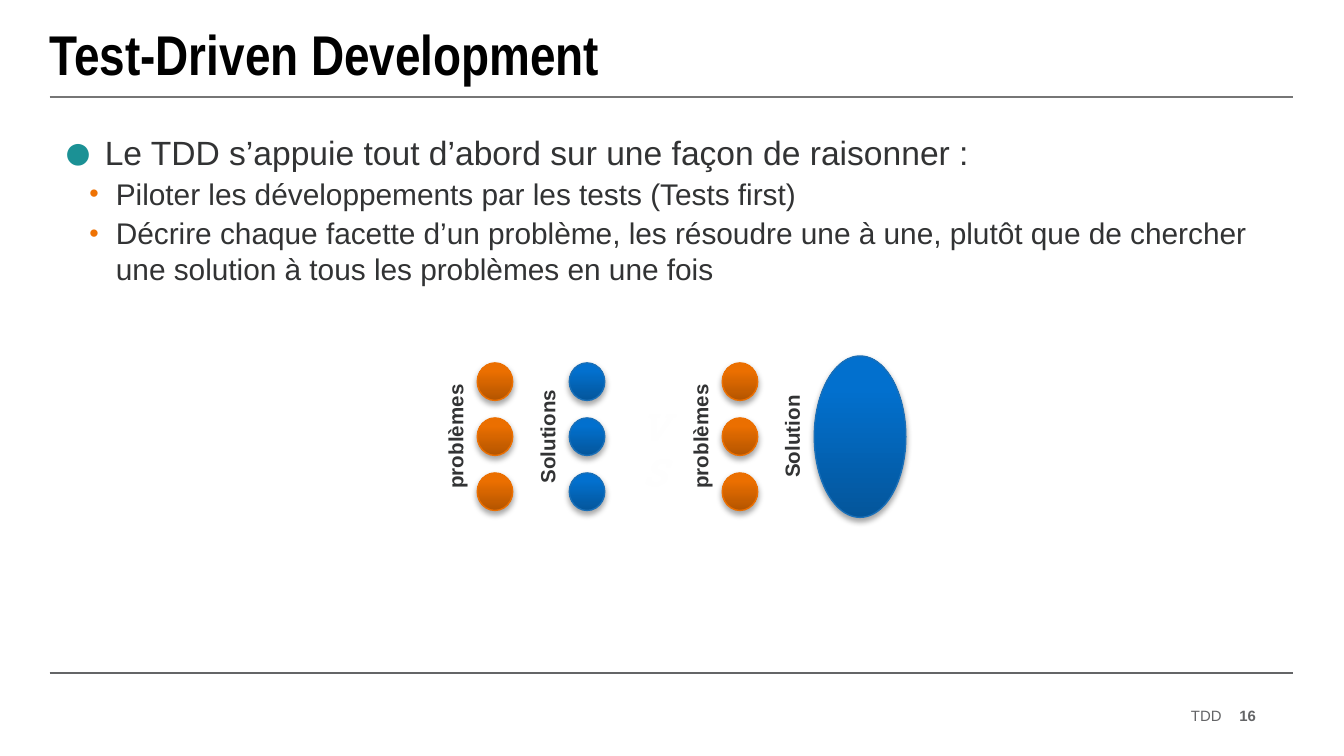
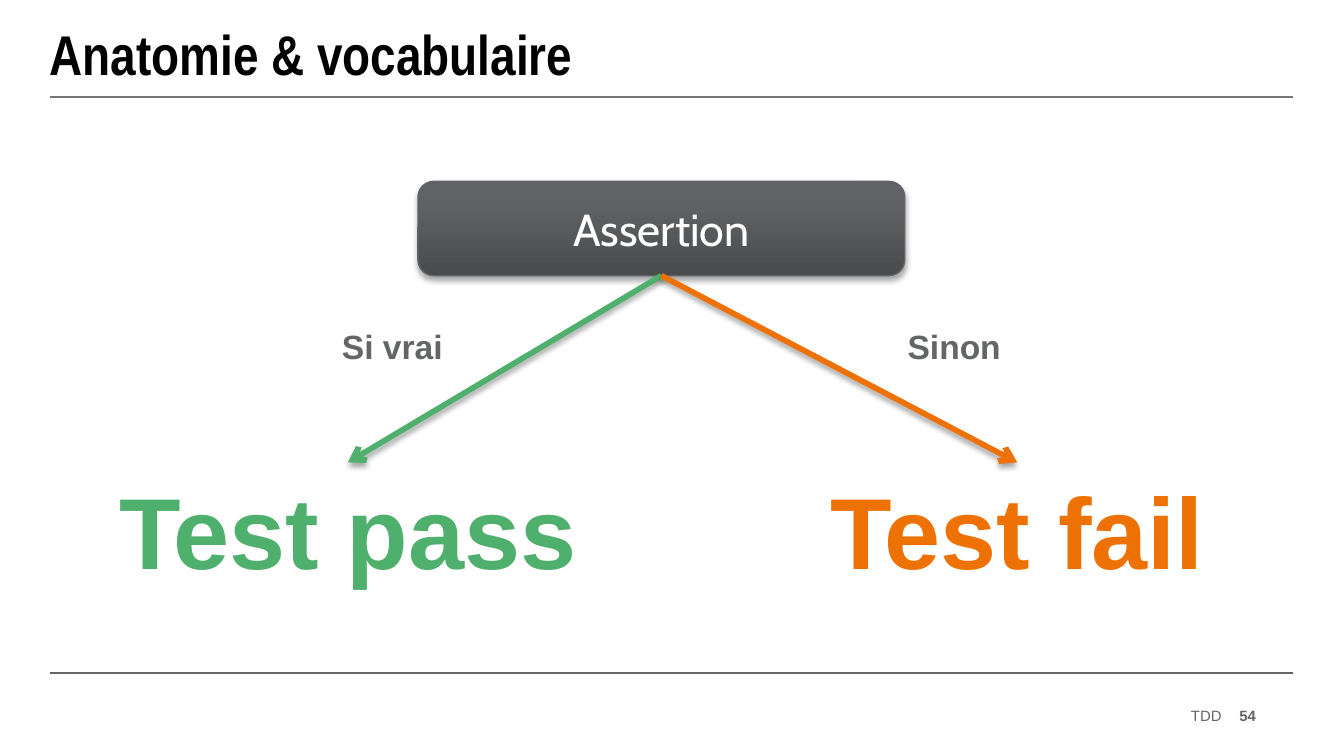
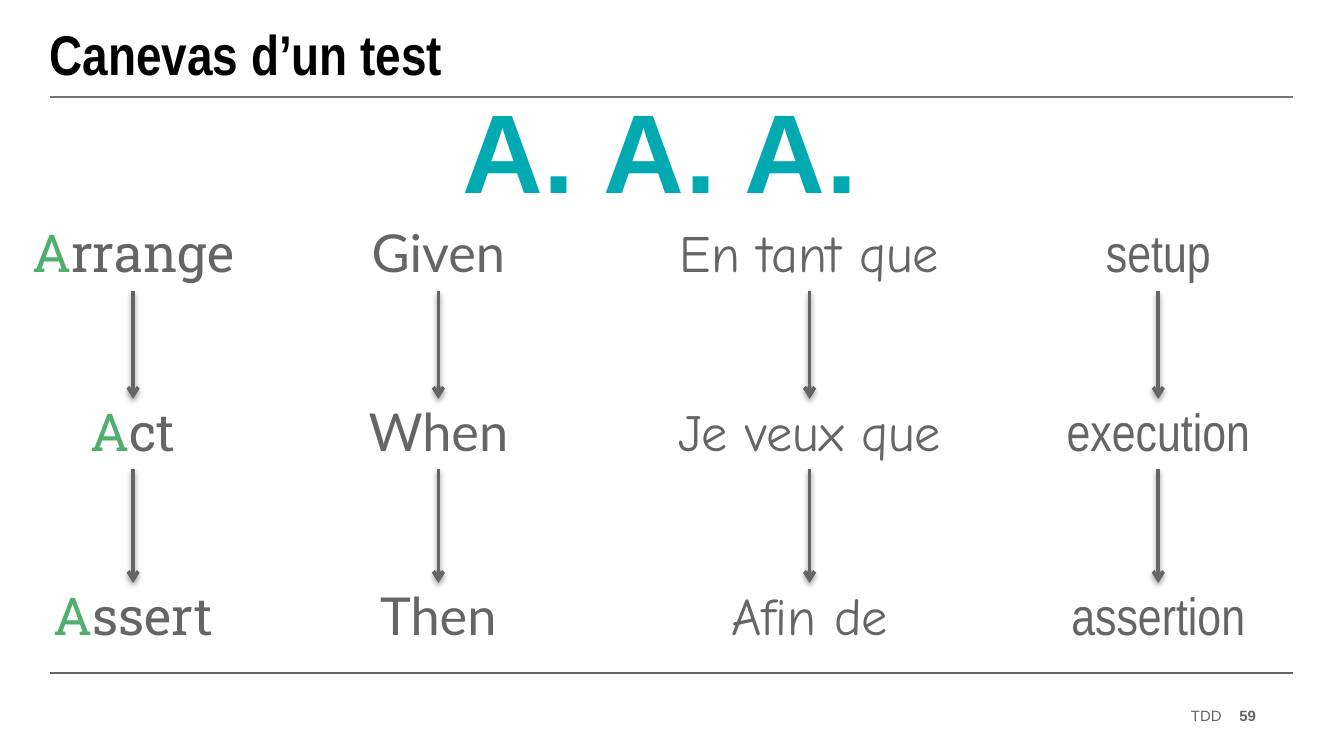
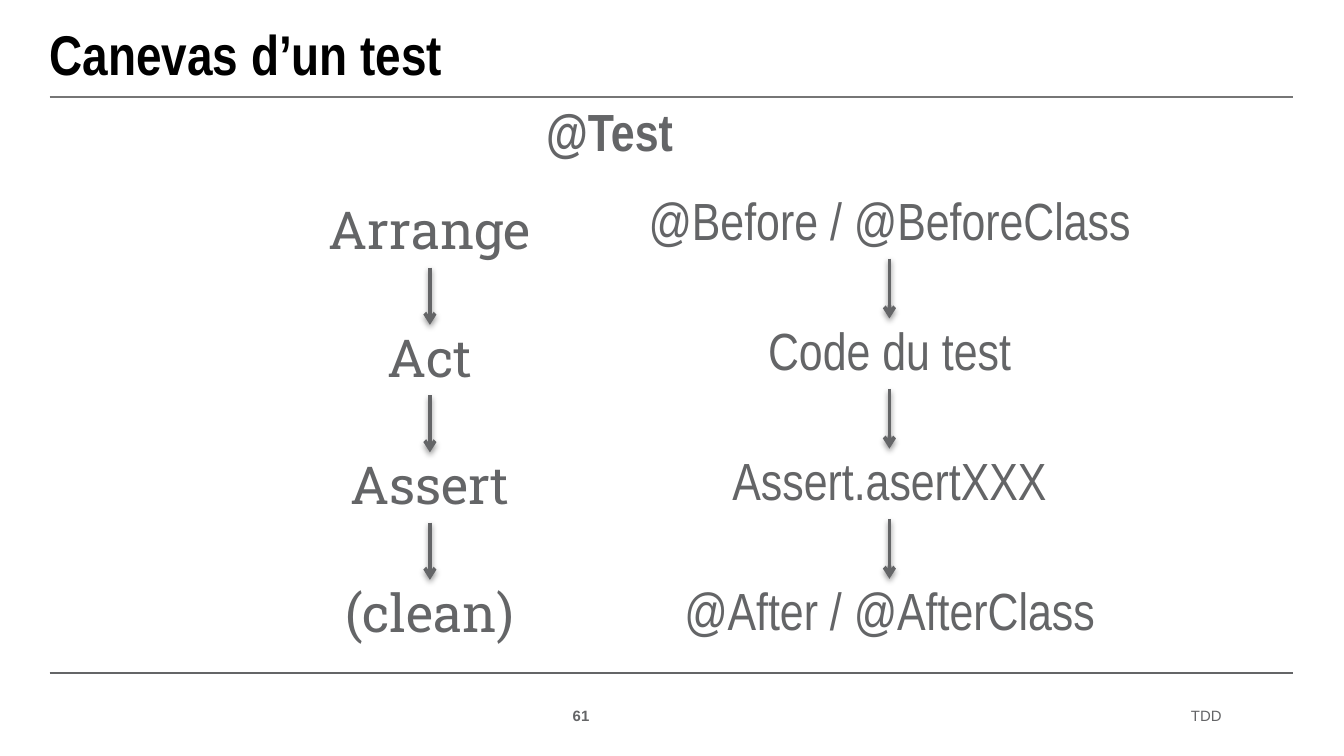
from lxml import etree
from pptx import Presentation
from pptx import util as u
from pptx.dml.color import RGBColor
from pptx.enum import shapes as kinds
from pptx.enum import text as t
from pptx.oxml.ns import qn
from pptx.util import Cm

BLACK = RGBColor(0x00, 0x00, 0x00)
WHITE = RGBColor(0xFF, 0xFF, 0xFF)
OFF_WHITE = RGBColor(0xFE, 0xFE, 0xFE)
GREY = RGBColor(0x64, 0x65, 0x67)
RULE_GREY = RGBColor(0x76, 0x76, 0x76)
BODY_GREY = RGBColor(0x32, 0x33, 0x34)
GREEN = RGBColor(0x4F, 0xAF, 0x6C)
ORANGE = RGBColor(0xEE, 0x72, 0x03)
TEAL = RGBColor(0x1B, 0x91, 0x95)
BLUE_OUTLINE = RGBColor(0x0C, 0x68, 0xB5)
CYAN = RGBColor(0x00, 0xAA, 0xB0)
DARK_CYAN = RGBColor(0x00, 0x78, 0x7C)

# Glossy fills: bottom colour, top colour, line colour
GLOSS_ORANGE = (RGBColor(0xB4, 0x55, 0x00), RGBColor(0xEB, 0x6F, 0x00), RGBColor(0xEC, 0x6F, 0x00))
GLOSS_BLUE = (RGBColor(0x04, 0x56, 0x9B), RGBColor(0x02, 0x70, 0xCE), RGBColor(0x19, 0x6F, 0xB8))
GLOSS_GREY = (RGBColor(0x4A, 0x4B, 0x4D), RGBColor(0x61, 0x62, 0x65), RGBColor(0x62, 0x63, 0x65))

SANS, NARROW, SLAB = "Arial", "Arial Narrow", "Roboto Slab"
LEFT, CENTER, RIGHT = t.PP_ALIGN.LEFT, t.PP_ALIGN.CENTER, t.PP_ALIGN.RIGHT
TITLE_ONLY, TITLE_AND_BODY = 5, 1
BOTTOM_SIDE, TOP_SIDE = 2, 0
MARGIN, CONTENT_WIDTH = 0.94, 23.5
STEP_HEIGHT = 1.33


def add_element(parent, tag, **attributes):
    return etree.SubElement(parent, qn(tag), {name: str(value) for name, value in attributes.items()})


def add_color(parent, color, alpha=None):
    node = add_element(parent, "a:srgbClr", val=color)
    if alpha is not None:
        add_element(node, "a:alpha", val=alpha * 1000)


def write(paragraph, text, size=18, font=SANS, color=GREY, bold=False, italic=False,
          spacing=None, outline=None):
    """Add a run; outline is a (colour, width in points) pair."""
    run = paragraph.add_run()
    run.text = text
    run.font.size, run.font.name = u.Pt(size), font
    run.font.bold, run.font.italic = bold, italic
    run.font.color.rgb = color
    properties = run.font._element
    if spacing:
        properties.set("spc", str(int(spacing * 100)))
    if outline:
        line = add_element(properties, "a:ln", w=u.Pt(outline[1]))
        add_color(add_element(line, "a:solidFill"), outline[0])
        properties.insert(0, line)
    return run


def set_frame(frame, anchor=t.MSO_ANCHOR.TOP, inset=0, wrap=True):
    frame.auto_size = t.MSO_AUTO_SIZE.NONE
    frame.word_wrap = wrap
    frame.vertical_anchor = anchor
    frame.margin_left = frame.margin_right = Cm(inset)
    frame.margin_top = frame.margin_bottom = Cm(inset / 2)


def add_text(shapes, box, text="", align=CENTER, anchor=t.MSO_ANCHOR.TOP, inset=0, wrap=True, **style):
    label = shapes.add_textbox(*map(Cm, box))
    set_frame(label.text_frame, anchor, inset, wrap)
    paragraph = label.text_frame.paragraphs[0]
    paragraph.alignment = align
    if text:
        write(paragraph, text, **style)
    return label


def add_shadow(shape, alpha=35, distance=1.8):
    properties = shape.element.spPr
    effects = properties.find(qn("a:effectLst"))
    if effects is None:
        effects = add_element(properties, "a:effectLst")
    shadow = add_element(effects, "a:outerShdw", blurRad=u.Pt(3.1), dist=u.Pt(distance),
                         dir=5400000, rotWithShape=0)
    add_color(shadow, BLACK, alpha)


def add_glossy(shapes, kind, box, gloss):
    bottom, top, edge = gloss
    shape = shapes.add_shape(kind, *map(Cm, box))
    shape.fill.gradient()
    shape.fill.gradient_angle = 90
    for stop, color, position in zip(shape.fill.gradient_stops, (bottom, top), (0, 0.8)):
        stop.color.rgb, stop.position = color, position
    shape.line.color.rgb, shape.line.width = edge, u.Pt(0.75)
    shape.shadow.inherit = False
    add_shadow(shape)
    return shape


def add_line(slide, start, end, color, width):
    line = slide.shapes.add_connector(kinds.MSO_CONNECTOR.STRAIGHT, *map(Cm, start + end))
    line.line.color.rgb, line.line.width = color, u.Pt(width)
    return line


def add_rule(slide, top, color):
    line = add_line(slide, (MARGIN, top), (MARGIN + CONTENT_WIDTH, top), color, 1)
    add_element(line.element.spPr, "a:effectLst")


def add_arrow(slide, source, target, color=GREY, width=2, **shadow):
    """Join the bottom of source to the top of target."""
    arrow = add_line(slide, (0, 0), (1, 1), color, width)
    arrow.begin_connect(source, BOTTOM_SIDE)
    arrow.end_connect(target, TOP_SIDE)
    add_element(arrow.element.spPr.find(qn("a:ln")), "a:tailEnd", type="arrow")
    add_shadow(arrow, **shadow)


def place(shape, box):
    shape.left, shape.top, shape.width, shape.height = map(Cm, box)


def add_slide(presentation, title, number, layout=TITLE_ONLY, number_left=23.24):
    """Add a slide with its title, two rules and footer."""
    slide = presentation.slides.add_slide(presentation.slide_layouts[layout])
    heading = slide.shapes.title
    place(heading, (MARGIN, 0.23, CONTENT_WIDTH, 1.55))
    set_frame(heading.text_frame, t.MSO_ANCHOR.MIDDLE)
    paragraph = heading.text_frame.paragraphs[0]
    paragraph.alignment = LEFT
    write(paragraph, title, size=30, font=NARROW, color=BLACK, bold=True)

    add_rule(slide, 12.72, GREY)
    add_rule(slide, 1.83, RULE_GREY)
    for text, left, width, bold in (("TDD", 17.5, 5.59, False), (number, number_left, 0.5, True)):
        add_text(slide.shapes, (left, 13.34, width, 0.38), text, align=RIGHT,
                 anchor=t.MSO_ANCHOR.MIDDLE, wrap=False, size=8, bold=bold)
    return slide


def add_bullet(paragraph, level, character, color, percent, margin, hanging):
    paragraph.level = level
    properties = paragraph._p.get_or_add_pPr()
    properties.set("marL", str(Cm(margin)))
    properties.set("indent", str(-Cm(hanging)))
    add_color(add_element(properties, "a:buClr"), color)
    add_element(properties, "a:buSzPct", val=percent * 1000)
    add_element(properties, "a:buFont", typeface=SANS)
    add_element(properties, "a:buChar", char=character)


def fill_body(body, box, items):
    """Write (level, text) items as a bulleted list."""
    place(body, box)
    frame = body.text_frame
    set_frame(frame, inset=0.25)
    for index, (level, text) in enumerate(items):
        paragraph = frame.add_paragraph() if index else frame.paragraphs[0]
        if level:
            add_bullet(paragraph, level, "•", ORANGE, 90, 1, 0.5)
        else:
            add_bullet(paragraph, level, "●", TEAL, 150, 0.79, 0.79)
        paragraph.space_before = u.Pt(2 if index else 0)
        write(paragraph, text, size=16 if level else 18, color=BODY_GREY)


def draw_comparison(slide, left, top):
    """Many small solutions on the left, one large solution on the right."""
    shapes = slide.shapes.add_group_shape().shapes
    oval = kinds.MSO_SHAPE.OVAL
    columns = (("problèmes", 0, GLOSS_ORANGE, 3), ("Solutions", 1.74, GLOSS_BLUE, 3),
               ("problèmes", 4.63, GLOSS_ORANGE, 3), ("Solution", 6.36, GLOSS_BLUE, 1))
    label_width, label_height = 3.5, 0.64
    for name, offset, gloss, count in columns:
        column = left + offset
        label = add_text(shapes, (column + (label_height - label_width) / 2, top + 1.2,
                                  label_width, label_height),
                         name, size=11, color=BODY_GREY, bold=True)
        label.rotation = 270
        if count == 1:
            add_glossy(shapes, oval, (column + 0.66, top, 1.73, 3.05), gloss)
        else:
            for row in range(count):
                add_glossy(shapes, oval, (column + 0.65, top + 0.13 + 1.04 * row, 0.67, 0.71), gloss)
    add_text(shapes, (left + 3.31, top + 0.79, 1.4, 2.1), "VS", inset=0.25, size=20, font=SLAB,
             color=OFF_WHITE, bold=True, italic=True, spacing=0.5, outline=(BLUE_OUTLINE, 1))


def draw_assertion_tree(slide, left, top):
    box = add_glossy(slide.shapes, kinds.MSO_SHAPE.ROUNDED_RECTANGLE,
                     (left + 6.05, top, 9.2, 1.78), GLOSS_GREY)
    set_frame(box.text_frame, t.MSO_ANCHOR.MIDDLE, 0.25)
    paragraph = box.text_frame.paragraphs[0]
    paragraph.alignment = CENTER
    write(paragraph, "Assertion", size=24, font="Cabin", color=WHITE)

    branches = (("Si vrai", 4.04, "Test pass", 0, GREEN), ("Sinon", 14.66, "Test fail", 12.65, ORANGE))
    for condition, condition_left, outcome, outcome_left, color in branches:
        result = add_text(slide.shapes, (left + outcome_left, top + 5.31, 9.45, 2.57), outcome,
                          inset=0.25, size=54, color=color, bold=True, outline=(OFF_WHITE, 1.5))
        add_arrow(slide, box, result, color, 3)
        add_text(slide.shapes, (left + condition_left, top + 2.74, 3.05, 0.79), condition, bold=True)


def draw_steps(slide, left, width, tops, steps, font, initial_color=GREY):
    """Stack the steps at the given tops, joined by arrows."""
    previous = None
    for top, step in zip(tops, steps):
        label = add_text(slide.shapes, (left, top, width, STEP_HEIGHT))
        paragraph = label.text_frame.paragraphs[0]
        if initial_color == GREY:
            write(paragraph, step, size=28, font=font)
        else:
            write(paragraph, step[0], size=28, font=font, color=initial_color)
            write(paragraph, step[1:], size=28, font=font)
        if previous:
            add_arrow(slide, previous, label, alpha=38, distance=1.6)
        previous = label


def build_reasoning(presentation):
    slide = add_slide(presentation, "Test-Driven Development", "16", TITLE_AND_BODY)
    fill_body(slide.placeholders[1], (MARGIN, 2.36, CONTENT_WIDTH, 9.96), (
        (0, "Le TDD s’appuie tout d’abord sur une façon de raisonner :"),
        (1, "Piloter les développements par les tests (Tests first)"),
        (1, "Décrire chaque facette d’un problème, les résoudre une à une, plutôt que de "
            "chercher une solution à tous les problèmes en une fois"),
    ))
    draw_comparison(slide, 8.37, 6.73)


def build_anatomy(presentation):
    slide = add_slide(presentation, "Anatomie & vocabulaire", "54")
    draw_assertion_tree(slide, 1.85, 3.43)


def build_canvas(presentation):
    slide = add_slide(presentation, "Canevas d’un test", "59")
    heading = add_text(slide.shapes, (8.43, 1.42, 8.1, 2.82), "A. A. A.", inset=0.25, wrap=False,
                       size=60, bold=True, spacing=0.5)
    fill = heading.text_frame.paragraphs[0].runs[0].font.fill
    fill.gradient()
    fill.gradient_angle = 270
    for stop, color, position in zip(fill.gradient_stops, (CYAN, DARK_CYAN), (0.25, 1)):
        stop.color.rgb, stop.position = color, position

    tops = (4.17, 7.54, 11.02)
    draw_steps(slide, 0.1, 4.83, tops, ("Arrange", "Act", "Assert"), SLAB, GREEN)
    draw_steps(slide, 5.87, 4.83, tops, ("Given", "When", "Then"), "Lato")
    draw_steps(slide, 11.91, 6.78, tops, ("En tant que", "Je veux que", "Afin de"), "Comic Neue")
    draw_steps(slide, 18.5, 6.78, tops, ("setup", "execution", "assertion"), NARROW)


def build_annotations(presentation):
    slide = add_slide(presentation, "Canevas d’un test", "61", number_left=10.64)
    add_text(slide.shapes, (8.13, 1.88, 6.78, STEP_HEIGHT), "@Test", size=28, font=NARROW, bold=True)
    draw_steps(slide, 5.71, 4.83, [3.73 + 2.41 * row for row in range(4)],
               ("Arrange", "Act", "Assert", "(clean)"), SLAB)
    draw_steps(slide, 11.5, 10.62, [3.56 + 2.46 * row for row in range(4)],
               ("@Before / @BeforeClass", "Code du test", "Assert.asertXXX", "@After / @AfterClass"),
               NARROW)


def main():
    presentation = Presentation()
    presentation.slide_width, presentation.slide_height = Cm(25.4), Cm(14.29)
    for build in (build_reasoning, build_anatomy, build_canvas, build_annotations):
        build(presentation)
    presentation.save("out.pptx")


if __name__ == "__main__":
    main()
